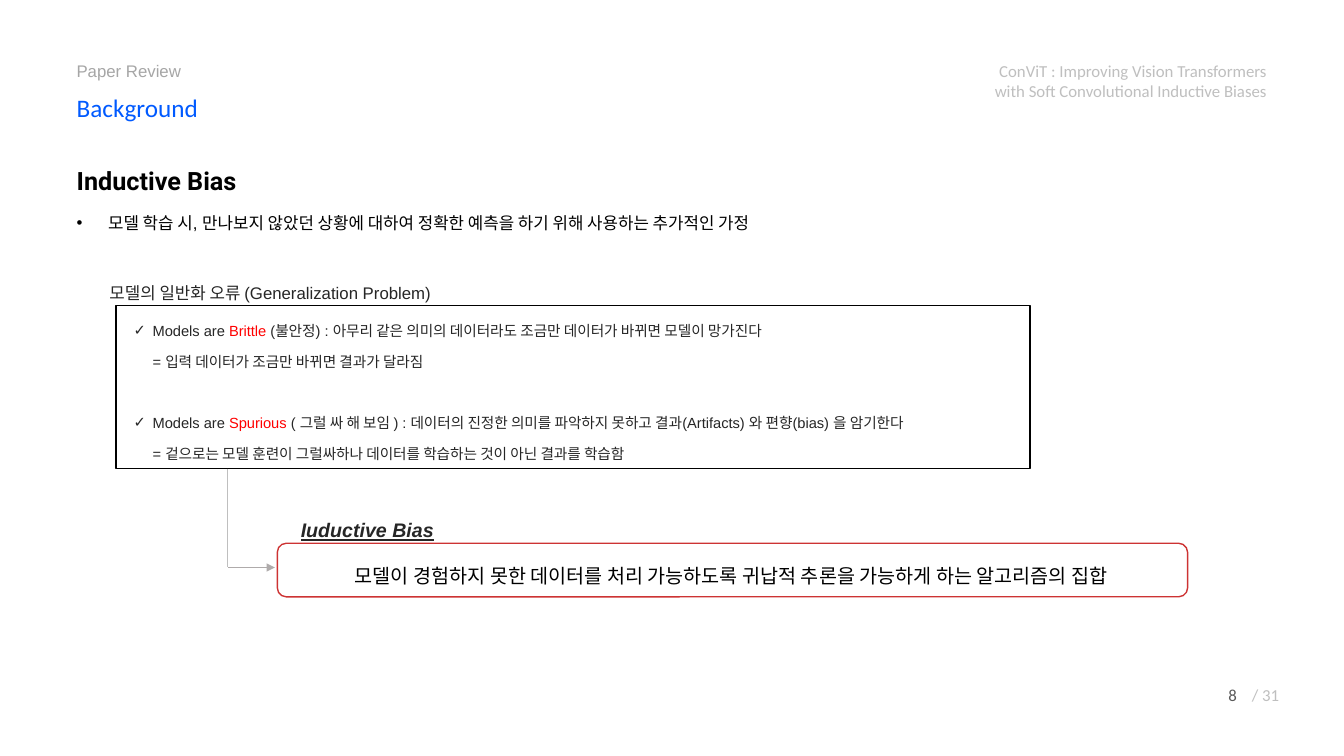
from copy import deepcopy

from lxml.etree import SubElement
from pptx import Presentation
from pptx.dml.color import RGBColor
from pptx.enum.shapes import MSO_CONNECTOR, MSO_SHAPE
from pptx.enum.text import MSO_ANCHOR, MSO_AUTO_SIZE, PP_ALIGN
from pptx.oxml.ns import qn
from pptx.util import Cm, Pt

BLACK, INK, RED = "000000", "262626", "FF0000"
LIGHT = "BFBFBF"


def color(value):
    return RGBColor.from_string(value)


class SlideBuilder:
    """Holds the text style and the slide being built."""

    def __init__(self, slide, font="Arial", size=12):
        self.slide = slide
        self.font = font
        self.size = size

    def place(self, shape, box):
        shape.left, shape.top, shape.width, shape.height = map(Cm, box)
        frame = shape.text_frame
        frame.word_wrap = True
        frame.auto_size = MSO_AUTO_SIZE.NONE
        frame.vertical_anchor = MSO_ANCHOR.TOP
        return shape

    def add_run(self, paragraph, text, hue, font=None, size=None,
                bold=False, italic=False, underline=False):
        for number, line in enumerate(text.split("\n")):
            if number:
                paragraph.add_line_break()
                line_break = paragraph._p[-1]
                line_break.append(deepcopy(run._r.find(qn("a:rPr"))))
            run = paragraph.add_run()
            run.text = line
            run.font.name = font or self.font
            run.font.size = Pt(size or self.size)
            run.font.color.rgb = color(hue)
            run.font.bold = bold
            run.font.italic = italic
            run.font.underline = underline

    def add_text(self, shape, runs, align=PP_ALIGN.LEFT, spacing=None, before=0,
                 bullet=None, indent=0, new=False, **style):
        frame = shape.text_frame
        paragraph = frame.add_paragraph() if new else frame.paragraphs[0]
        paragraph.alignment = align
        paragraph.space_before = Pt(before)
        if spacing:
            paragraph.line_spacing = Pt(spacing)
        properties = paragraph._p.get_or_add_pPr()
        properties.set("marL", str(Cm(indent)))
        properties.set("indent", str(-Cm(indent)))
        if bullet:
            SubElement(properties, qn("a:buFont")).set("typeface", "Arial")
            SubElement(properties, qn("a:buChar")).set("char", bullet)
        else:
            SubElement(properties, qn("a:buNone"))
        for text, hue in runs:
            self.add_run(paragraph, text, hue, **style)

    def placeholder(self, index, box):
        return self.place(self.slide.placeholders[index], box)

    def textbox(self, box):
        return self.place(self.slide.shapes.add_textbox(*map(Cm, box)), box)

    def label(self, box, text, hue, **style):
        self.add_text(self.textbox(box), [(text, hue)], **style)

    def panel(self, kind, box, fill=None, line=None):
        shape = self.place(self.slide.shapes.add_shape(kind, *map(Cm, box)), box)
        shape.shadow.inherit = False
        if fill:
            shape.fill.solid()
            shape.fill.fore_color.rgb = color(fill)
        else:
            shape.fill.background()
        if line:
            shape.line.color.rgb = color(line)
            shape.line.width = Pt(1)
        else:
            shape.line.fill.background()
        return shape

    def connector(self, start, end, hue, arrow=False):
        line = self.slide.shapes.add_connector(
            MSO_CONNECTOR.STRAIGHT, *map(Cm, start + end))
        line.line.color.rgb = color(hue)
        line.line.width = Pt(0.5)
        properties = line._element.spPr
        if arrow:
            SubElement(properties.find(qn("a:ln")), qn("a:tailEnd")).set("type", "triangle")
        SubElement(properties, qn("a:effectLst"))


def main():
    presentation = Presentation()
    presentation.slide_width, presentation.slide_height = Cm(33.87), Cm(19.05)
    slide = presentation.slides.add_slide(presentation.slide_layouts[1])
    builder = SlideBuilder(slide)

    title = builder.placeholder(0, (1.68, 2.21, 6, 1.02))
    builder.add_text(title, [("Background", "005AFF")], font="Calibri", size=18)
    builder.label((1.68, 1.4, 7.98, 0.76), "Paper Review", "A6A6A6")
    builder.label((24.46, 1.4, 7.72, 1.27),
                  "ConViT : Improving Vision Transformers\n"
                  "with Soft Convolutional Inductive Biases",
                  LIGHT, align=PP_ALIGN.RIGHT, font="Calibri")

    body = builder.placeholder(1, (1.68, 4.04, 28.78, 1.96))
    builder.add_text(body, [("Inductive Bias", BLACK)], font="Roboto", size=18, bold=True)
    builder.add_text(body, [("모델 학습 시, 만나보지 않았던 상황에 대하여 정확한 예측을 "
                             "하기 위해 사용하는 추가적인 가정", BLACK)],
                     new=True, before=12, bullet="•", indent=0.79)

    builder.label((2.51, 6.73, 10.67, 0.94),
                  "모델의 일반화 오류 (Generalization Problem)", INK, spacing=22)
    builder.panel(MSO_SHAPE.RECTANGLE, (2.92, 7.7, 23.04, 4.11), line=BLACK)
    problems = [
        ("Brittle", " (불안정) : 아무리 같은 의미의 데이터라도 조금만 데이터가 바뀌면 "
                    "모델이 망가진다\n= 입력 데이터가 조금만 바뀌면 결과가 달라짐"),
        ("Spurious", " ( 그럴 싸 해 보임 ) : 데이터의 진정한 의미를 파악하지 못하고 "
                     "결과(Artifacts) 와 편향(bias) 을 암기한다\n"
                     "= 겉으로는 모델 훈련이 그럴싸하나 데이터를 학습하는 것이 아닌 결과를 학습함"),
    ]
    checklist = builder.textbox((3.12, 7.65, 23.22, 4.06))
    for number, (keyword, explanation) in enumerate(problems):
        builder.add_text(checklist,
                         [("Models are ", INK), (keyword, RED), (explanation, INK)],
                         new=number > 0, before=22 * number, spacing=22,
                         bullet="✓", indent=0.48, size=10.5)

    builder.label((6.96, 12.75, 4.6, 0.97), "Iuductive Bias", INK,
                  align=PP_ALIGN.CENTER, spacing=22, size=14,
                  bold=True, italic=True, underline=True)
    builder.panel(MSO_SHAPE.ROUNDED_RECTANGLE, (6.99, 13.69, 22.94, 1.35),
                  fill="FFFFFF", line="CD3333")
    corner = (5.74, 14.3)
    builder.connector(corner, (6.93, 14.3), "AFABAB", arrow=True)
    builder.connector((5.74, 11.81), corner, LIGHT)
    conclusion = builder.panel(MSO_SHAPE.RECTANGLE, (7.19, 13.89, 22.5, 0.97),
                               fill="FFFFFF")
    builder.add_text(conclusion, [("모델이 경험하지 못한 데이터를 처리 가능하도록 귀납적 추론을 "
                                   "가능하게 하는 알고리즘의 집합", BLACK)],
                     align=PP_ALIGN.CENTER, spacing=22, size=14)

    for left, width, text, hue in ((29.67, 1.75, "8", "595959"),
                                   (30.94, 1.55, "/ 31", LIGHT)):
        builder.label((left, 17.12, width, 0.76), text, hue,
                      align=PP_ALIGN.RIGHT, font="Calibri")

    presentation.save("out.pptx")


if __name__ == "__main__":
    main()
